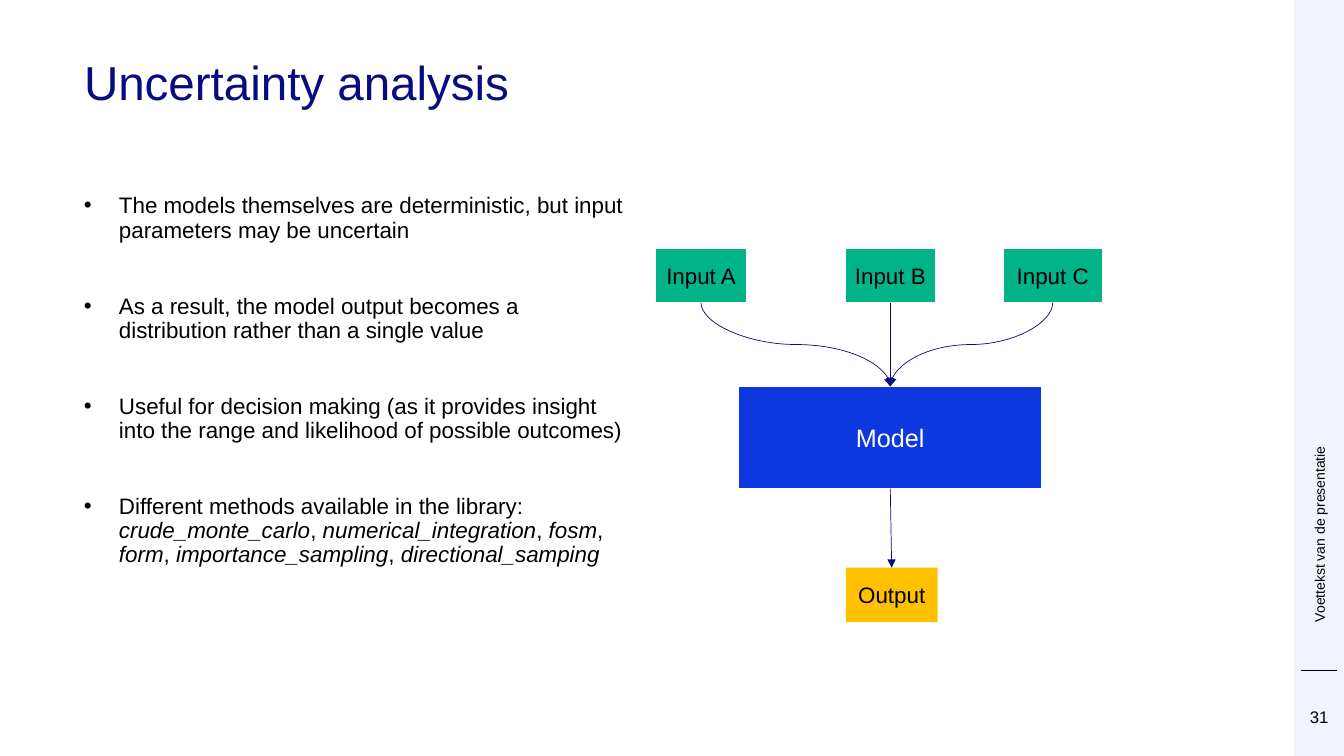
import pptx
import pptx.util
import pptx.dml.color
import pptx.enum.shapes
import pptx.enum.text
import pptx.oxml.ns
from lxml import etree

Pt = pptx.util.Pt
RGB = pptx.dml.color.RGBColor
Kind = pptx.enum.shapes.MSO_SHAPE
Link = pptx.enum.shapes.MSO_CONNECTOR
Align = pptx.enum.text.PP_ALIGN
Anchor = pptx.enum.text.MSO_ANCHOR
qn = pptx.oxml.ns.qn

NAVY = RGB(0x08, 0x0C, 0x80)
BLUE = RGB(0x0D, 0x38, 0xE0)
GREEN = RGB(0x00, 0xB3, 0x89)
GOLD = RGB(0xFF, 0xC0, 0x00)
PALE = RGB(0xF1, 0xF3, 0xFD)
BLACK = RGB(0, 0, 0)
WHITE = RGB(0xFF, 0xFF, 0xFF)

POINTS = [
    "The models themselves are deterministic, but input parameters may be uncertain",
    "As a result, the model output becomes a distribution rather than a single value",
    "Useful for decision making (as it provides insight into the range and "
    "likelihood of possible outcomes)",
    "Different methods available in the library: *crude_monte_carlo*, "
    "*numerical_integration*, *fosm*, *form*, *importance_sampling*, "
    "*directional_samping*",
]


def write(frame, *paras, size=16, color=BLACK, align=Align.LEFT,
          anchor=Anchor.TOP, lead=1.0, gap=0, bullet=False):
    """Fill a text frame; words between asterisks are set in italics."""
    frame.word_wrap = True
    frame.auto_size = pptx.enum.text.MSO_AUTO_SIZE.NONE
    frame.vertical_anchor = anchor
    frame.margin_left = frame.margin_right = 0
    frame.margin_top = frame.margin_bottom = 0
    for num, text in enumerate(paras):
        para = frame.add_paragraph() if num else frame.paragraphs[0]
        if bullet:
            props = para._p.get_or_add_pPr()
            props.set("marL", str(Pt(25)))
            props.set("indent", str(-Pt(25)))
            etree.SubElement(props, qn("a:buFont"), typeface="Arial")
            etree.SubElement(props, qn("a:buChar"), char="•")
        para.alignment = align
        para.line_spacing = lead
        para.space_before = Pt(gap if num else 0)
        for part, words in enumerate(text.split("*")):
            if words:
                run = para.add_run()
                run.text = words
                run.font.name = "Arial"
                run.font.size = Pt(size)
                run.font.color.rgb = color
                run.font.italic = part % 2 == 1


class Page:
    """The current slide and its drawing style."""

    def __init__(self, deck):
        self.slide = deck.slides.add_slide(deck.slide_layouts[5])
        self.shapes = self.slide.shapes

    def title(self, text, left, top, width, height):
        head = self.shapes.title
        head.left, head.top = Pt(left), Pt(top)
        head.width, head.height = Pt(width), Pt(height)
        write(head.text_frame, text, size=34, color=NAVY, lead=0.9)

    def text(self, left, top, width, height, *paras, turn=False, **form):
        box = self.shapes.add_textbox(Pt(left), Pt(top), Pt(width), Pt(height))
        write(box.text_frame, *paras, **form)
        if turn:
            box.text_frame._txBody.bodyPr.set("vert", "vert270")

    def block(self, left, top, width, height, fill, text="", edge=None, **form):
        box = self.shapes.add_shape(Kind.RECTANGLE, Pt(left), Pt(top),
                                    Pt(width), Pt(height))
        box.shadow.inherit = False
        box.fill.solid()
        box.fill.fore_color.rgb = fill
        if edge is None:
            box.line.fill.background()
        else:
            box.line.color.rgb = edge
            box.line.width = Pt(1.5)
        if text:
            write(box.text_frame, text, align=Align.CENTER,
                  anchor=Anchor.MIDDLE, **form)
        return box

    def line(self, x1, y1, x2, y2, color=BLACK, kind=Link.STRAIGHT):
        line = self.shapes.add_connector(kind, Pt(x1), Pt(y1), Pt(x2), Pt(y2))
        line.line.color.rgb = color
        line.line.width = Pt(0.5)
        etree.SubElement(line._element.spPr, qn("a:effectLst"))
        return line

    def arrow(self, start, end, curve=False):
        """Join the bottom of one block to the top of another."""
        kind = Link.CURVE if curve else Link.STRAIGHT
        line = self.line(0, 0, 0, 0, NAVY, kind)
        line.begin_connect(start, 2)
        line.end_connect(end, 0)
        etree.SubElement(line.line._get_or_add_ln(), qn("a:tailEnd"),
                         type="triangle")
        if curve:
            self.bend(line)

    def bend(self, line):
        """Turn a curve so that it leaves and arrives vertically."""
        wide = line.end_x - line.begin_x
        high = line.end_y - line.begin_y
        mid_x = (line.begin_x + line.end_x) // 2
        mid_y = (line.begin_y + line.end_y) // 2
        line.width, line.height = high, abs(wide)
        line.left, line.top = mid_x - high // 2, mid_y - abs(wide) // 2
        frame = line._element.spPr.find(qn("a:xfrm"))
        frame.set("rot", str((270 if wide > 0 else 90) * 60000))
        frame.set("flipH", "1" if wide > 0 else "0")


def main():
    deck = pptx.Presentation()
    deck.slide_width, deck.slide_height = Pt(960), Pt(540)
    page = Page(deck)

    page.block(924.5, 0, 35.5, 540, PALE)
    page.line(929.5, 478.8, 954.7, 478.8)
    page.title("Uncertainty analysis", 60, 42.5, 828, 73.5)
    page.text(936, 42.5, 12.5, 402, "Voettekst van de presentatie",
              turn=True, size=10, anchor=Anchor.MIDDLE)
    page.text(924.5, 505, 35.5, 14.5, "31", size=12, align=Align.CENTER)

    model = page.block(527.2, 276, 217.5, 73, BLUE, "Model", edge=WHITE,
                       size=18, color=WHITE)
    for name, left, width in (("A", 468, 65.5), ("B", 603.2, 65.5),
                              ("C", 716.2, 71.5)):
        source = page.block(left, 177.2, width, 39, GREEN, "Input " + name,
                            edge=WHITE)
        page.arrow(source, model, curve=name != "B")
    output = page.block(604.2, 405.5, 65.5, 39, GOLD, "Output")
    page.arrow(model, output)

    page.text(60, 139, 391.7, 340, *POINTS, lead=0.9, gap=37, bullet=True)
    deck.save("out.pptx")


if __name__ == "__main__":
    main()
